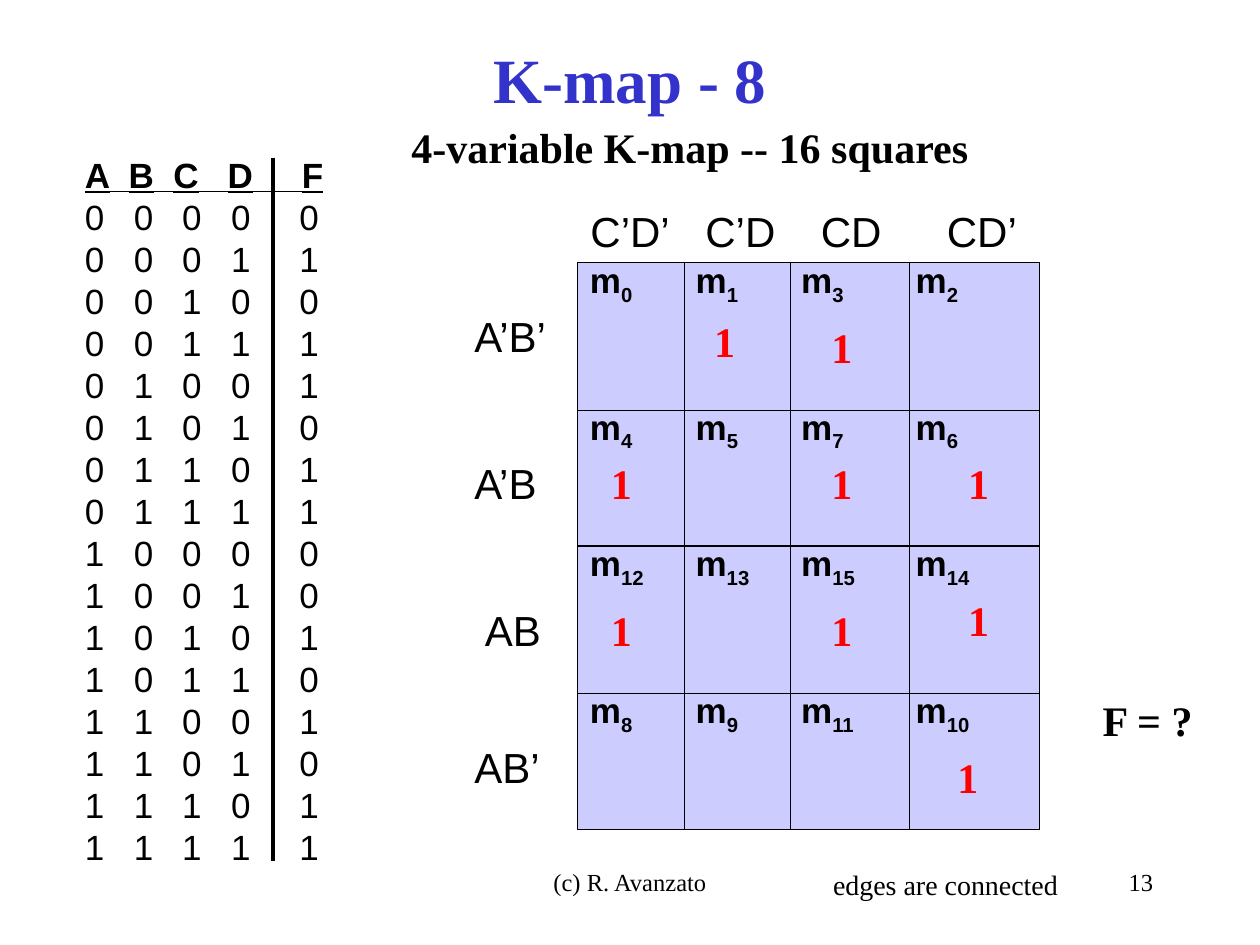
from itertools import product

from lxml import etree
from pptx import Presentation
from pptx.dml.color import RGBColor
from pptx.enum.shapes import MSO_CONNECTOR, MSO_SHAPE
from pptx.enum.text import MSO_ANCHOR, PP_ALIGN
from pptx.oxml.ns import qn
from pptx.util import Pt

LEFT, CENTER, RIGHT = PP_ALIGN.LEFT, PP_ALIGN.CENTER, PP_ALIGN.RIGHT
TOP, MIDDLE = MSO_ANCHOR.TOP, MSO_ANCHOR.MIDDLE
RECTANGLE, STRAIGHT = MSO_SHAPE.RECTANGLE, MSO_CONNECTOR.STRAIGHT

SERIF, SANS = "Times New Roman", "Arial"
COLORS = {"ink": "000000", "title": "3333CC", "map": "CCCCFF", "one": "FF0000"}


class KMapSlide:
    """Holds the style and the current slide."""

    def __init__(self, slide):
        self.slide = slide

    def color(self, name):
        return RGBColor.from_string(COLORS[name])

    def style(self, font, size, face=SERIF, color="ink", bold=False):
        font.name, font.size, font.bold = face, Pt(size), bold
        font.color.rgb = self.color(color)

    def frame(self, x, y, w, h, wrap=False, anchor=TOP):
        box = self.slide.shapes.add_textbox(Pt(x), Pt(y), Pt(w), Pt(h))
        frame = box.text_frame
        frame.word_wrap, frame.vertical_anchor = wrap, anchor
        return frame

    def text(self, text, x, y, w, h, size, align=LEFT, anchor=TOP, **style):
        frame = self.frame(x, y, w, h, align != LEFT, anchor)
        frame.text = text
        paragraph = frame.paragraphs[0]
        paragraph.alignment = align
        self.style(paragraph.runs[0].font, size, **style)

    def minterm(self, number, x, y):
        index = str(number)
        paragraph = self.frame(x, y, 33 + 7 * len(index), 34.5).paragraphs[0]
        for part in ("m", index):
            run = paragraph.add_run()
            run.text = part
            self.style(run.font, 20, SANS, bold=True)
        run.font._element.set("baseline", "-25000")

    def rows(self, rows, x, y, w, h, size, header_stops, body_stops):
        frame = self.frame(x, y, w, h)
        frame.text = "\n".join("\t".join(row) for row in rows)
        for i, paragraph in enumerate(frame.paragraphs):
            header = i == 0
            tabs = etree.SubElement(paragraph._p.get_or_add_pPr(), qn("a:tabLst"))
            for stop in header_stops if header else body_stops:
                etree.SubElement(tabs, qn("a:tab"), pos=str(Pt(stop)), algn="l")
            paragraph.line_spacing = Pt(24)
            for run in paragraph.runs:
                self.style(run.font, size, SANS, bold=header)
                run.font.underline = header

    def rect(self, x, y, w, h):
        rect = self.slide.shapes.add_shape(RECTANGLE, Pt(x), Pt(y), Pt(w), Pt(h))
        rect.shadow.inherit = False
        rect.fill.solid()
        rect.fill.fore_color.rgb = self.color("map")
        rect.line.color.rgb = self.color("ink")
        rect.line.width = Pt(0.75)

    def line(self, x1, y1, x2, y2, width=0.75):
        line = self.slide.shapes.add_connector(STRAIGHT, Pt(x1), Pt(y1), Pt(x2), Pt(y2))
        line.line.color.rgb = self.color("ink")
        line.line.width = Pt(width)
        etree.SubElement(line._element.spPr, qn("a:effectLst"))


def main():
    prs = Presentation()
    prs.slide_width, prs.slide_height = Pt(720), Pt(540)
    page = KMapSlide(prs.slides.add_slide(prs.slide_layouts[6]))

    # Headings
    page.text("K-map - 8", 54, 0, 612, 90, 36, CENTER, MIDDLE, color="title", bold=True)
    page.text("4-variable K-map -- 16 squares", 228, 66, 334, 36, 24, bold=True)

    # Truth table, with a rule that carries the underline across the tab gaps
    ones = {1, 3, 4, 6, 7, 10, 12, 14, 15}
    truth = [list("ABCDF")]
    for number, bits in enumerate(product("01", repeat=4)):
        truth.append([*bits, str(int(number in ones))])
    page.rows(truth, 41.5, 84, 153, 415.5, 20,
              header_stops=(25, 50.5, 81.5, 124), body_stops=(28, 55.5, 83.5, 122.5))
    page.line(48.7, 109.4, 184.5, 109.4, 1)
    page.line(156, 90, 156, 492, 2.25)

    # Map: two stacked halves, each of two rows and four columns
    map_x, map_w, half_h = 330, 264, 162
    for half_y in (150, 150 + half_h):
        page.rect(map_x, half_y, map_w, half_h)
        page.line(map_x, half_y + 84.5, map_x + map_w, half_y + 84.5)
        for divider_x in (391, 451.75, 519.75):
            page.line(divider_x, half_y, divider_x, half_y + half_h)

    # Column and row labels
    for label, x, w in (("C’D’", 330.3, 62), ("C’D", 396, 58),
                        ("CD", 462, 53), ("CD’", 534, 58)):
        page.text(label, x, 114, w, 36, 24, face=SANS)
    for label, x, y, w in (("A’B’", 264, 174, 59), ("A’B", 264, 258, 55),
                           ("AB", 270, 342, 50), ("AB’", 264, 420, 55)):
        page.text(label, x, y, w, 36, 24, face=SANS)

    # Minterms in Gray-code order, with a 1 where F is true
    gray = (0, 1, 3, 2)
    columns = ((330, 342), (390.4, 401), (450.7, 468), (516.2, 546.2))
    rows = ((144, 180), (228, 258), (306, 342), (390, 426))
    nudges = {1: (0, -3), 14: (0, -6), 10: (-6.2, 0)}
    for high, (term_y, one_y) in zip(gray, rows):
        for low, (term_x, one_x) in zip(gray, columns):
            number = 4 * high + low
            page.minterm(number, term_x, term_y)
            if number in ones:
                dx, dy = nudges.get(number, (0, 0))
                page.text("1", one_x + dx, one_y + dy, 28, 36, 24,
                          color="one", bold=True)

    # Question and footer
    page.text("F = ?", 623, 393.3, 68, 36, 24, bold=True)
    page.text("(c) R. Avanzato", 246, 492, 228, 36, 14, CENTER)
    page.text("edges are connected", 469, 492, 147, 26.5, 16)
    page.text("13", 516, 492, 150, 36, 14, RIGHT)

    prs.save("out.pptx")


if __name__ == "__main__":
    main()
